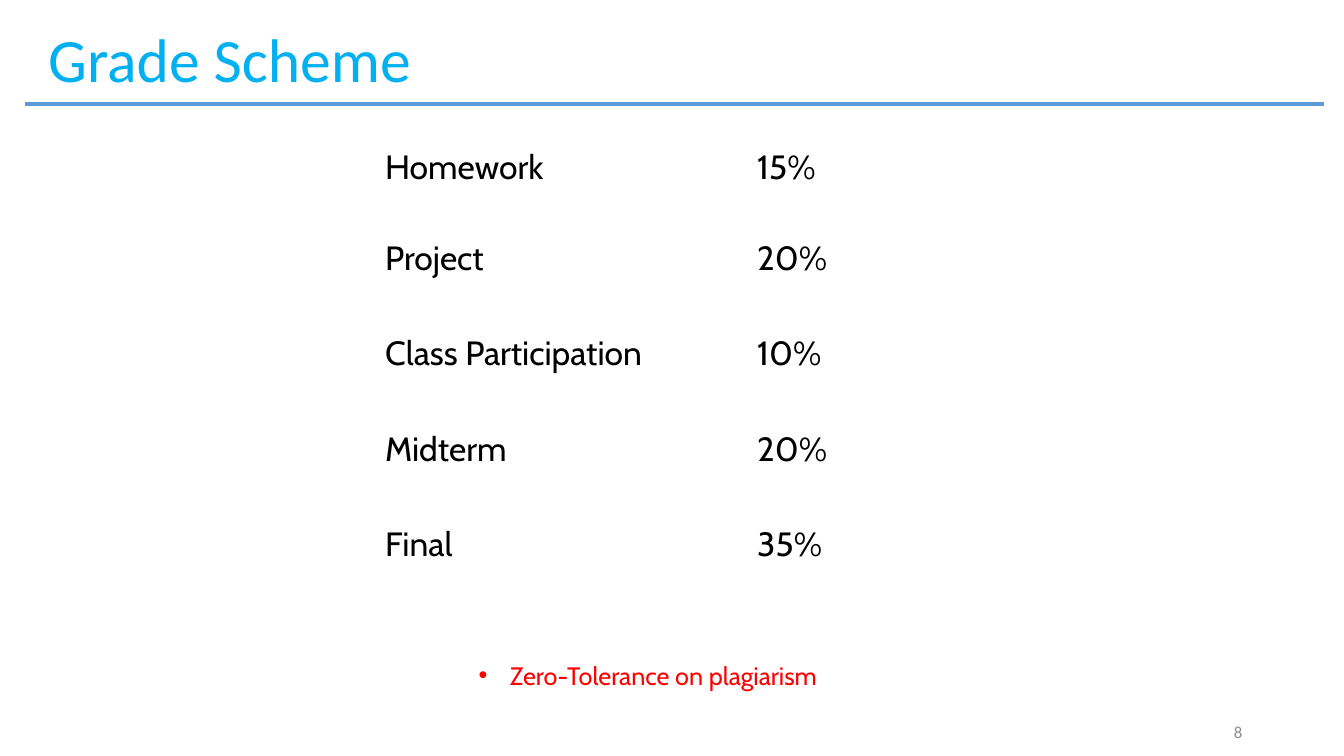
from lxml import etree
from pptx import Presentation
from pptx.dml.color import RGBColor
from pptx.enum.shapes import MSO_CONNECTOR
from pptx.enum.text import MSO_ANCHOR, PP_ALIGN
from pptx.oxml.ns import qn
from pptx.util import Inches, Pt

STRAIGHT = MSO_CONNECTOR.STRAIGHT
TOP, MIDDLE = MSO_ANCHOR.TOP, MSO_ANCHOR.MIDDLE
LEFT, RIGHT = PP_ALIGN.LEFT, PP_ALIGN.RIGHT

GRADES = [
    [["Homework"], ["15%"]],
    [["Project", "Class Participation", "Midterm", "Final"],
     ["20%", "10%", "20%", "35%"]],
]
COLUMN_WIDTHS = [3.69, 3.44]
ROW_HEIGHTS = [0.9, 3.97]
ITEM_GAP = 39


def rgb(hex_color):
    """Return the colour for a hex string."""
    return RGBColor.from_string(hex_color)


def style_runs(paragraph, size, font_name, color):
    """Format every run of a paragraph."""
    for run in paragraph.runs:
        run.font.size = Pt(size)
        run.font.name = font_name
        run.font.color.rgb = rgb(color)


def add_text(slide, text, box, size, font_name, color, anchor=MIDDLE, align=LEFT):
    """Add a one-paragraph text box and return its paragraph."""
    frame = slide.shapes.add_textbox(*map(Inches, box)).text_frame
    frame.word_wrap = True
    frame.vertical_anchor = anchor
    frame.text = text
    paragraph = frame.paragraphs[0]
    paragraph.alignment = align
    style_runs(paragraph, size, font_name, color)
    return paragraph


def add_bullet(paragraph, indent):
    """Give a paragraph a hanging bullet."""
    properties = paragraph._p.get_or_add_pPr()
    properties.set("marL", str(Inches(indent)))
    properties.set("indent", str(-Inches(indent)))
    etree.SubElement(properties, qn("a:buFont")).set("typeface", "Arial")
    etree.SubElement(properties, qn("a:buChar")).set("char", "•")


def add_rule(slide, left, right, y, color, width):
    """Draw a horizontal line without a shadow."""
    rule = slide.shapes.add_connector(
        STRAIGHT, Inches(left), Inches(y), Inches(right), Inches(y))
    rule.line.color.rgb = rgb(color)
    rule.line.width = Pt(width)
    etree.SubElement(rule._element.spPr, qn("a:effectLst"))


def fill_cell(cell, items):
    """Write one paragraph per item, evenly spaced."""
    cell.fill.background()
    cell.text_frame.text = "\n".join(items)
    for index, paragraph in enumerate(cell.text_frame.paragraphs):
        if index:
            paragraph.space_before = Pt(ITEM_GAP)
        style_runs(paragraph, 24, "Cabin", "000000")


def add_grade_table(slide, left, top):
    """Add the table of course work and its weights."""
    table = slide.shapes.add_table(
        len(GRADES), len(COLUMN_WIDTHS), Inches(left), Inches(top),
        Inches(sum(COLUMN_WIDTHS)), Inches(sum(ROW_HEIGHTS))).table
    table.first_row = False
    table.horz_banding = False
    for column, width in zip(table.columns, COLUMN_WIDTHS):
        column.width = Inches(width)
    for row, height, contents in zip(table.rows, ROW_HEIGHTS, GRADES):
        row.height = Inches(height)
        for cell, items in zip(row.cells, contents):
            fill_cell(cell, items)


def main():
    """Build the grade scheme slide."""
    deck = Presentation()
    deck.slide_width, deck.slide_height = Inches(13.33), Inches(7.5)
    slide = deck.slides.add_slide(deck.slide_layouts[6])
    add_rule(slide, 0.25, 13.13, 1.03, "5B9BD5", 3)
    title = add_text(slide, "Grade Scheme", (0.38, 0.2, 12.63, 0.84),
                     44, "Calibri", "00B0F0")
    title.line_spacing = 0.9
    add_text(slide, "8", (9.9, 7.18, 2.52, 0.17), 12, "Calibri", "8C8C8C",
             align=RIGHT)
    add_grade_table(slide, 3.72, 1.41)
    policy = add_text(slide, "Zero-Tolerance on plagiarism",
                      (4.65, 6.5, 4.03, 0.4), 18, "Cabin", "FF0000", anchor=TOP)
    add_bullet(policy, 0.31)
    deck.save("out.pptx")


if __name__ == "__main__":
    main()
